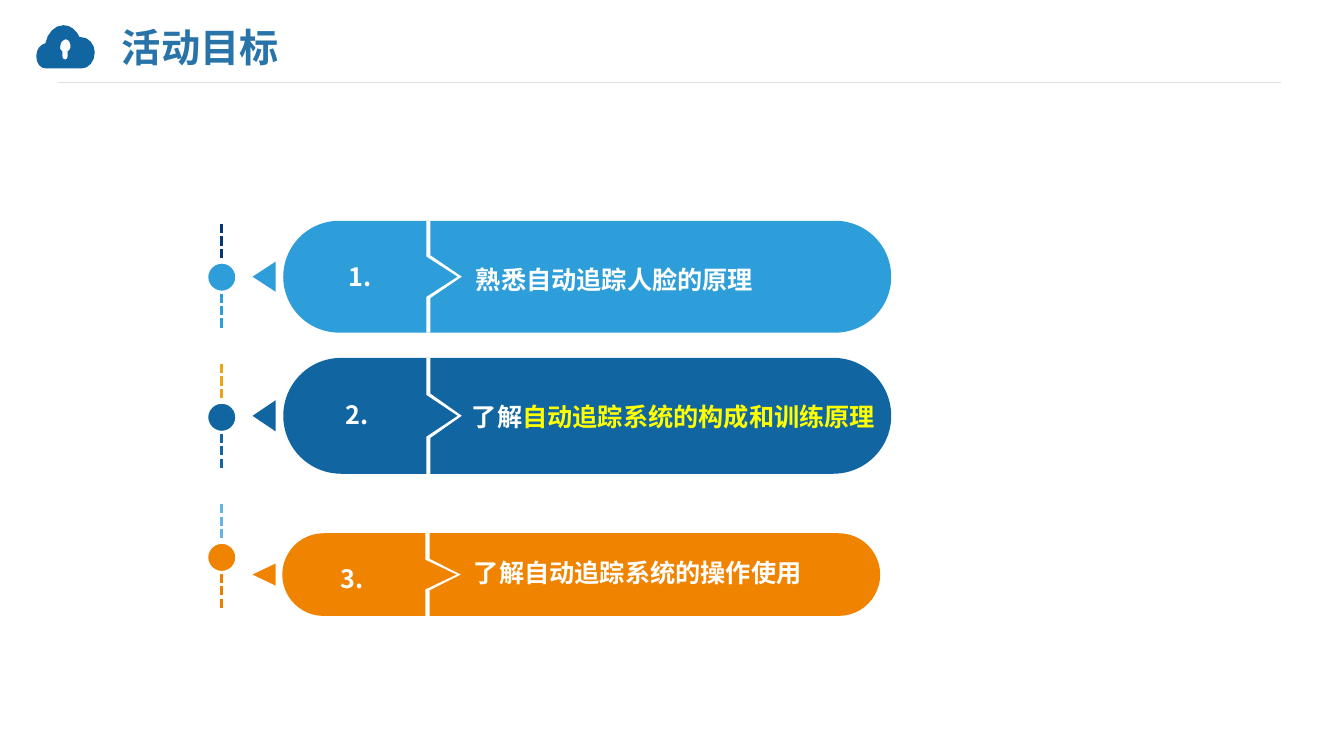
from lxml.etree import SubElement
from pptx import Presentation
from pptx.dml.color import RGBColor
from pptx.enum.dml import MSO_LINE
from pptx.enum.shapes import MSO_CONNECTOR, MSO_SHAPE as SHAPE
from pptx.enum.text import MSO_ANCHOR as ANCHOR, PP_ALIGN as ALIGN
from pptx.oxml.ns import qn
from pptx.util import Inches, Pt

FONT = "Noto Sans CJK SC"
WHITE = RGBColor(0xFF, 0xFF, 0xFF)
YELLOW = RGBColor(0xFF, 0xFF, 0x00)
SKY = RGBColor(0x2E, 0x9E, 0xDA)
BLUE = RGBColor(0x11, 0x65, 0xA0)
ORANGE = RGBColor(0xF0, 0x83, 0x00)
TITLE_BLUE = RGBColor(0x28, 0x74, 0xA9)
RULE_GREY = RGBColor(0xE0, 0xE0, 0xE0)
NAVY = RGBColor(0x05, 0x36, 0x75)
GOLD = RGBColor(0xEB, 0xA4, 0x17)
PALE_BLUE = RGBColor(0x66, 0xB3, 0xE1)
DARK_ORANGE = RGBColor(0xEB, 0x80, 0x00)

TITLE = "活动目标"
GOALS = [
    dict(number="1.", runs=[("熟悉自动追踪人脸的原理", WHITE)], color=SKY,
         dashes=(NAVY, SKY), pill=(2.81, 2.19, 6.03, 1.11), arrow=0.3,
         number_box=(3.09, 2.54, 0.97, 0.34), label_box=(4.25, 2.6, 3.4, 0.34)),
    dict(number="2.", runs=[("了解", WHITE), ("自动追踪系统的构成和训练原理", YELLOW)], color=BLUE,
         dashes=(GOLD, BLUE), pill=(2.81, 3.55, 6.03, 1.15), arrow=0.31,
         number_box=(3.09, 3.91, 0.9, 0.35), label_box=(4.21, 3.77, 4.6, 0.73)),
    dict(number="3.", runs=[("了解自动追踪系统的操作使用", WHITE)], color=ORANGE,
         dashes=(PALE_BLUE, DARK_ORANGE), pill=(2.8, 5.29, 5.93, 0.82), arrow=0.22,
         number_box=(3.06, 5.54, 0.86, 0.25), label_box=(4.23, 5.1, 3.9, 1.15)),
]
NODE_X, NODE_TOP, NODE_SIZE, NODE_PITCH = 2.05, 2.6, 0.3, 1.39
DASH_X = 2.2
DASH_SPANS = [(-0.38, -0.02), (0.31, 0.68)]
ARROW_X, ARROW_DEPTH = 2.62, 0.23
NOTCH_OFFSET = 1.42
NOTCH = [(0, 0), (0, 0.32), (0.31, 0.5), (0, 0.68), (0, 1),
         (0.04, 1), (0.04, 0.69), (0.35, 0.5), (0.04, 0.31), (0.04, 0)]
CLOUD = [(0.81, 0.37),
         (0.8, 0.37, 0.8, 0.37, 0.79, 0.37), (0.76, 0.3, 0.7, 0.25, 0.63, 0.25),
         (0.54, 0.25, 0.47, 0.33, 0.45, 0.43), (0.4, 0.44, 0.36, 0.49, 0.36, 0.56),
         (0.36, 0.63, 0.4, 0.68, 0.46, 0.68), (0.81, 0.68),
         (0.88, 0.68, 0.94, 0.61, 0.94, 0.52), (0.94, 0.44, 0.88, 0.37, 0.81, 0.37)]
KEYHOLE = [(0.67, 0.51), (0.67, 0.56),
           (0.67, 0.58, 0.66, 0.59, 0.65, 0.59), (0.63, 0.59, 0.62, 0.58, 0.62, 0.56),
           (0.62, 0.51), (0.6, 0.5, 0.59, 0.48, 0.6, 0.45),
           (0.6, 0.42, 0.62, 0.4, 0.65, 0.39), (0.68, 0.39, 0.7, 0.42, 0.7, 0.46),
           (0.7, 0.48, 0.69, 0.5, 0.67, 0.51)]


def flatten(outline, steps=4):
    """Turn corners and cubic curves into a list of points."""
    points = []
    for part in outline:
        if len(part) == 2:
            points.append(part)
            continue
        x0, y0 = points[-1]
        x1, y1, x2, y2, x3, y3 = part
        for i in range(1, steps + 1):
            t = i / steps
            a, b, c, d = (1 - t) ** 3, 3 * t * (1 - t) ** 2, 3 * t * t * (1 - t), t ** 3
            points.append((a * x0 + b * x1 + c * x2 + d * x3,
                           a * y0 + b * y1 + c * y2 + d * y3))
    return points


def paint(sp, color):
    """Give a shape a plain fill with no line or shadow."""
    sp.shadow.inherit = False
    sp.fill.solid()
    sp.fill.fore_color.rgb = color
    sp.line.fill.background()
    return sp


def add_shape(s, kind, box, color):
    """Add a plain preset shape."""
    return paint(s.shapes.add_shape(kind, *map(Inches, box)), color)


def add_outline(s, contours, color):
    """Add a filled freeform made of closed contours."""
    first, *others = [[(Inches(x), Inches(y)) for x, y in c] for c in contours]
    fb = s.shapes.build_freeform(*first[0])
    fb.add_line_segments(first[1:], close=True)
    for points in others:
        fb.move_to(*points[0])
        fb.add_line_segments(points[1:], close=True)
    paint(fb.convert_to_shape(), color)


def add_line(s, x1, y1, x2, y2, color, width, dash=None):
    """Add a straight line without shadow."""
    line = s.shapes.add_connector(MSO_CONNECTOR.STRAIGHT, *map(Inches, (x1, y1, x2, y2)))
    line.line.color.rgb = color
    line.line.width = Pt(width)
    if dash:
        line.line.dash_style = dash
    SubElement(line._element.spPr, qn("a:effectLst"))


def write(p, runs, size):
    """Add bold coloured runs to a paragraph."""
    for text, color in runs:
        r = p.add_run()
        r.text = text
        r.font.name, r.font.size, r.font.bold = FONT, Pt(size), True
        r.font.color.rgb = color
        SubElement(r.font._element, qn("a:ea"), typeface=FONT)


def set_margins(tf, left):
    """Set the left margin and remove the others."""
    tf.margin_left = Inches(left)
    tf.margin_right = tf.margin_top = tf.margin_bottom = 0
    tf.vertical_anchor = ANCHOR.MIDDLE


def add_goal(s, goal):
    """Add one pill with its notch, arrow, number and label."""
    left, top, width, height = goal["pill"]
    pill = add_shape(s, SHAPE.ROUNDED_RECTANGLE, goal["pill"], goal["color"])
    pill.adjustments[0] = 0.5
    notch = [(left + NOTCH_OFFSET + x, top + y * height) for x, y in NOTCH]
    add_outline(s, [notch], WHITE)
    size = goal["arrow"]
    box = (ARROW_X - size / 2, top + (height - ARROW_DEPTH) / 2, size, ARROW_DEPTH)
    add_shape(s, SHAPE.ISOSCELES_TRIANGLE, box, goal["color"]).rotation = 270

    tf = s.shapes.add_textbox(*map(Inches, goal["number_box"])).text_frame
    tf.word_wrap = False
    tf.paragraphs[0].alignment = ALIGN.CENTER
    write(tf.paragraphs[0], [(goal["number"], WHITE)], 18)

    tf = s.shapes.add_textbox(*map(Inches, goal["label_box"])).text_frame
    tf.word_wrap = True
    set_margins(tf, 0.47)
    tf.paragraphs[0].alignment = ALIGN.LEFT
    write(tf.paragraphs[0], goal["runs"], 18)


def add_node(s, goal, top):
    """Add one timeline dot with a dashed line above and below."""
    for color, (start, end) in zip(goal["dashes"], DASH_SPANS):
        add_line(s, DASH_X, top + start, DASH_X, top + end, color, 2.25, MSO_LINE.SQUARE_DOT)
    dot = add_shape(s, SHAPE.OVAL, (NODE_X, top, NODE_SIZE, NODE_SIZE), goal["color"])
    dot.line.color.rgb = WHITE
    dot.line.width = Pt(2.25)


def main():
    """Build the slide and save it."""
    prs = Presentation()
    prs.slide_width, prs.slide_height = Inches(13.33), Inches(7.5)
    s = prs.slides.add_slide(prs.slide_layouts[5])

    title = s.shapes.title
    title.left, title.top, title.width, title.height = map(Inches, (1.21, 0.2, 8.89, 0.52))
    set_margins(title.text_frame, 0)
    p = title.text_frame.paragraphs[0]
    p.alignment = ALIGN.LEFT
    write(p, [(TITLE, TITLE_BLUE)], 28)

    add_line(s, 0.58, 0.82, 12.71, 0.82, RULE_GREY, 0.75)
    add_outline(s, [flatten(CLOUD), flatten(KEYHOLE)], BLUE)
    for i, goal in enumerate(GOALS):
        add_goal(s, goal)
        add_node(s, goal, NODE_TOP + i * NODE_PITCH)
    prs.save("out.pptx")


if __name__ == "__main__":
    main()
